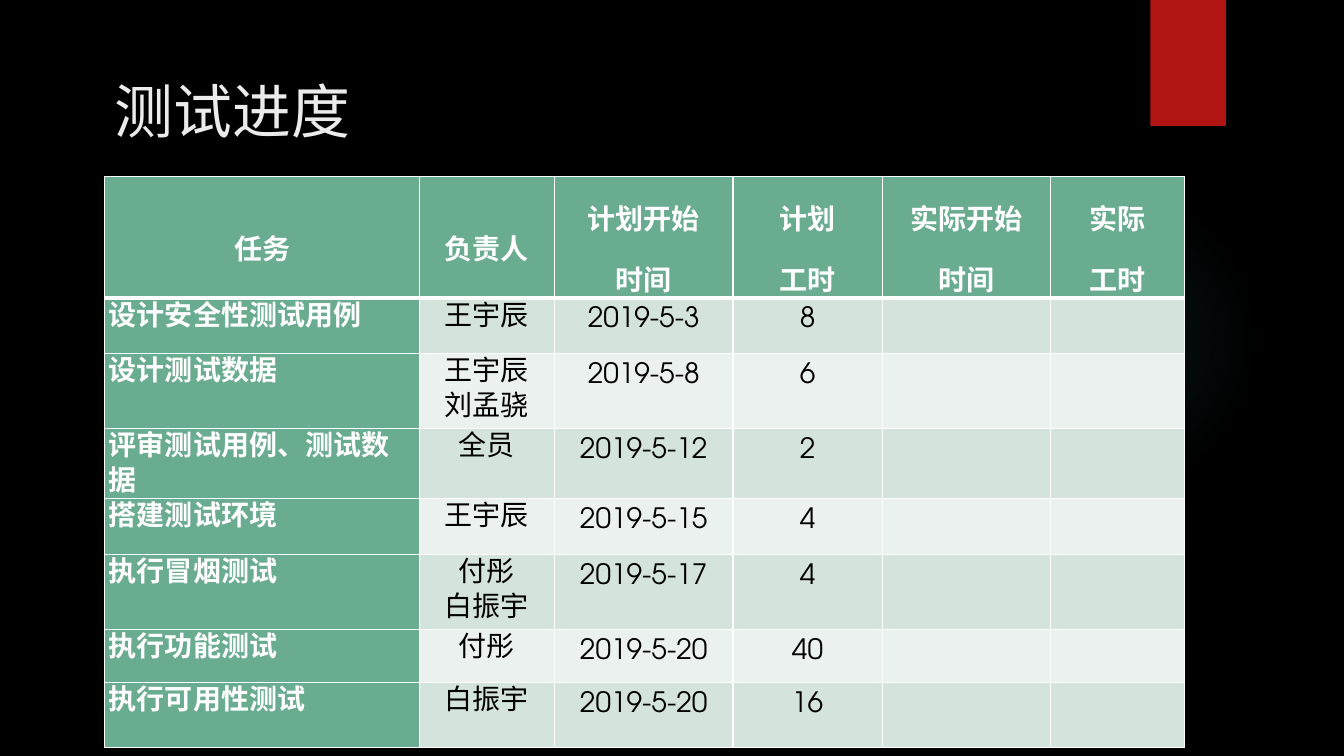
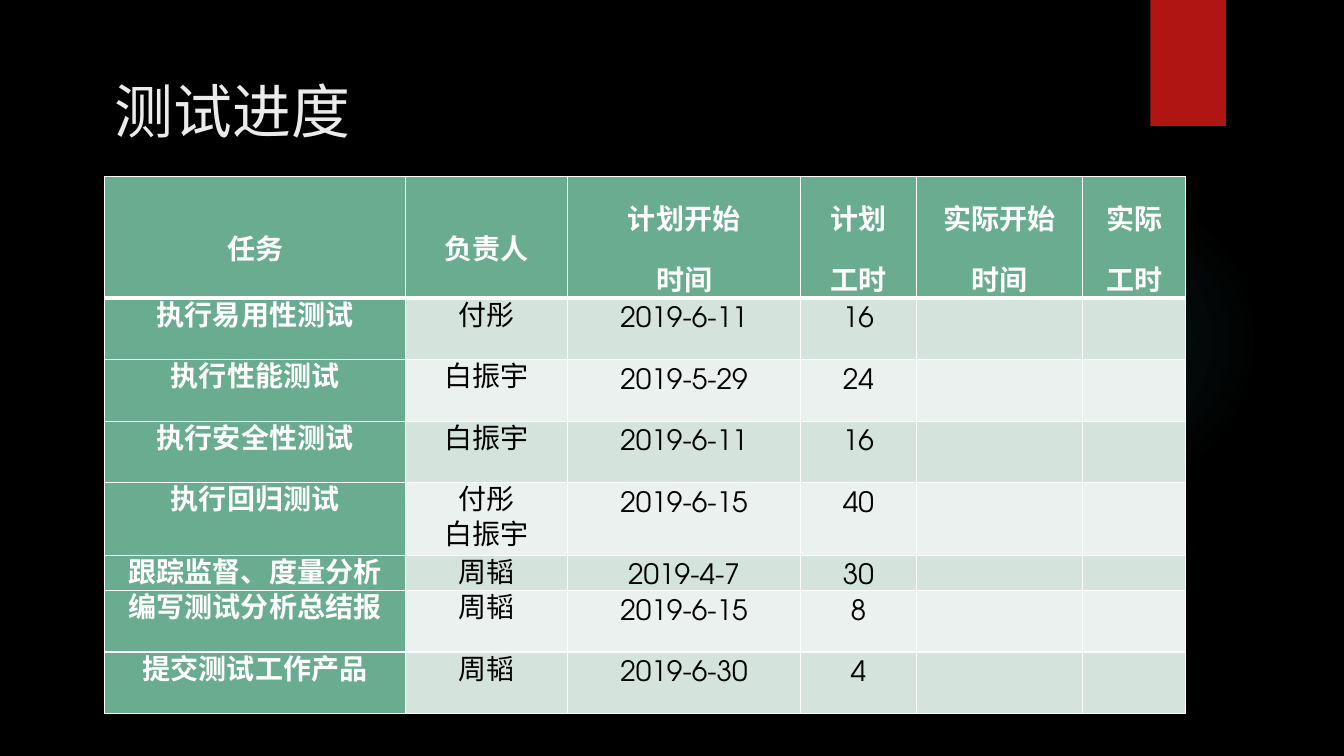
"""Build two slides showing the test schedule as tables."""
from dataclasses import dataclass

from pptx import Presentation
from pptx.dml.color import RGBColor
from pptx.enum.shapes import MSO_SHAPE
from pptx.enum.text import MSO_ANCHOR, MSO_AUTO_SIZE, PP_ALIGN
from pptx.oxml import parse_xml
from pptx.oxml.ns import nsdecls
from pptx.util import Inches, Pt


@dataclass(frozen=True)
class Theme:
    font: str = "TeX Gyre Adventor"
    title_size: int = 42
    table_size: int = 20
    row_spacing: int = 25
    background: str = "000000"
    title: str = "EBEBEB"
    ribbon: str = "B01513"
    glow: str = "50B9C1"
    green: str = "6AAC90"
    bands: tuple = ("D4E3DB", "EBF1EE")
    light: str = "FFFFFF"
    dark: str = "000000"


theme = Theme()

HEADINGS = ["任务", "负责人", "计划开始\n时间", "计划\n工时", "实际开始\n时间", "实际\n工时"]
HEADER_HEIGHT = 1.2

schedules = [
    {
        "task_alignment": PP_ALIGN.LEFT,
        "widths": [3.12, 1.34, 1.77, 1.48, 1.67, 1.33],
        "heights": [0.55, 0.74, 0.69, 0.56, 0.74, 0.53, 0.64],
        "tasks": [
            ("设计安全性测试用例", "王宇辰", "2019-5-3", "8"),
            ("设计测试数据", "王宇辰\n刘孟骁", "2019-5-8", "6"),
            ("评审测试用例、测试数据", "全员", "2019-5-12", "2"),
            ("搭建测试环境", "王宇辰", "2019-5-15", "4"),
            ("执行冒烟测试", "付彤\n白振宇", "2019-5-17", "4"),
            ("执行功能测试", "付彤", "2019-5-20", "40"),
            ("执行可用性测试", "白振宇", "2019-5-20", "16"),
        ],
    },
    {
        "task_alignment": PP_ALIGN.CENTER,
        "widths": [2.98, 1.61, 2.31, 1.15, 1.65, 1.02],
        "heights": [0.61, 0.61, 0.61, 0.72, 0.35, 0.61, 0.61],
        "tasks": [
            ("执行易用性测试", "付彤", "2019-6-11", "16"),
            ("执行性能测试", "白振宇", "2019-5-29", "24"),
            ("执行安全性测试", "白振宇", "2019-6-11", "16"),
            ("执行回归测试", "付彤\n白振宇", "2019-6-15", "40"),
            ("跟踪监督、度量分析", "周韬", "2019-4-7", "30"),
            ("编写测试分析总结报", "周韬", "2019-6-15", "8"),
            ("提交测试工作产品", "周韬", "2019-6-30", "4"),
        ],
    },
]


def style_paragraph(paragraph, size, color, bold, alignment, spacing):
    paragraph.alignment = alignment
    paragraph.line_spacing = spacing
    paragraph.font.name = theme.font
    paragraph.font.size = Pt(size)
    paragraph.font.bold = bold
    paragraph.font.color.rgb = RGBColor.from_string(color)


def add_borders(cell, widths):
    properties = cell._tc.get_or_add_tcPr()
    for index, (side, width) in enumerate(widths.items()):
        properties.insert(index, parse_xml(
            f'<a:ln{side} {nsdecls("a")} w="{Pt(width)}"><a:solidFill>'
            f'<a:srgbClr val="{theme.light}"/></a:solidFill></a:ln{side}>'))


deck = Presentation()
deck.slide_width, deck.slide_height = Inches(13.33), Inches(7.5)
backdrop = deck.slide_master.background.fill
backdrop.solid()
backdrop.fore_color.rgb = RGBColor.from_string(theme.background)

for schedule in schedules:
    page = deck.slides.add_slide(deck.slide_layouts[5])

    glow = page.shapes.add_shape(
        MSO_SHAPE.OVAL, Inches(9.41), Inches(1.83), Inches(3.08), Inches(3.08))
    stops = "".join(
        f'<a:gs pos="{position * 1000}"><a:srgbClr val="{theme.glow}">'
        f'<a:alpha val="{alpha * 1000}"/></a:srgbClr></a:gs>'
        for position, alpha in [(0, 7), (36, 6), (69, 0), (100, 0)])
    glow._element.spPr.insert(2, parse_xml(
        f'<a:gradFill {nsdecls("a")}><a:gsLst>{stops}</a:gsLst><a:path path="circle">'
        '<a:fillToRect l="50000" t="50000" r="50000" b="50000"/></a:path></a:gradFill>'))

    ribbon = page.shapes.add_shape(
        MSO_SHAPE.RECTANGLE, Inches(11.41), 0, Inches(0.75), Inches(1.25))
    ribbon.fill.solid()
    ribbon.fill.fore_color.rgb = RGBColor.from_string(theme.ribbon)
    for shape in (glow, ribbon):
        shape.line.fill.background()
        shape.shadow.inherit = False

    title = page.shapes.title
    title.left, title.top = Inches(1.04), Inches(0.77)
    title.width, title.height = Inches(10.29), Inches(0.98)
    title.text_frame.text = "测试进度"
    title.text_frame.auto_size = MSO_AUTO_SIZE.NONE
    title.text_frame.vertical_anchor = MSO_ANCHOR.TOP
    style_paragraph(title.text_frame.paragraphs[0], theme.title_size,
                    theme.title, False, PP_ALIGN.LEFT, 0.9)

    rows = [HEADINGS] + [[*task, "", ""] for task in schedule["tasks"]]
    heights = [HEADER_HEIGHT, *schedule["heights"]]
    widths = schedule["widths"]
    table = page.shapes.add_table(
        len(rows), len(widths), Inches(1.04), Inches(1.75),
        Inches(sum(widths)), Inches(sum(heights))).table
    table.first_col = True
    for column, width in zip(table.columns, widths):
        column.width = Inches(width)
    for row, height in zip(table.rows, heights):
        row.height = Inches(height)

    for row_index, row in enumerate(rows):
        for column_index, text in enumerate(row):
            cell = table.cell(row_index, column_index)
            is_header = row_index == 0
            is_task = column_index == 0 and not is_header
            is_green = is_header or is_task
            cell.text = text
            cell.margin_left = cell.margin_right = Inches(0.04)
            cell.margin_top = cell.margin_bottom = 0
            cell.vertical_anchor = MSO_ANCHOR.MIDDLE if is_header else MSO_ANCHOR.TOP
            cell.fill.solid()
            cell.fill.fore_color.rgb = RGBColor.from_string(
                theme.green if is_green else theme.bands[(row_index - 1) % 2])
            add_borders(cell, {"L": 1, "R": 1, "T": 3 if row_index == 1 else 1,
                               "B": 3 if is_header else 1})
            for paragraph in cell.text_frame.paragraphs:
                style_paragraph(
                    paragraph, theme.table_size,
                    theme.light if is_green else theme.dark, is_green,
                    schedule["task_alignment"] if is_task else PP_ALIGN.CENTER,
                    1.5 if is_header else Pt(theme.row_spacing))

deck.save("out.pptx")
